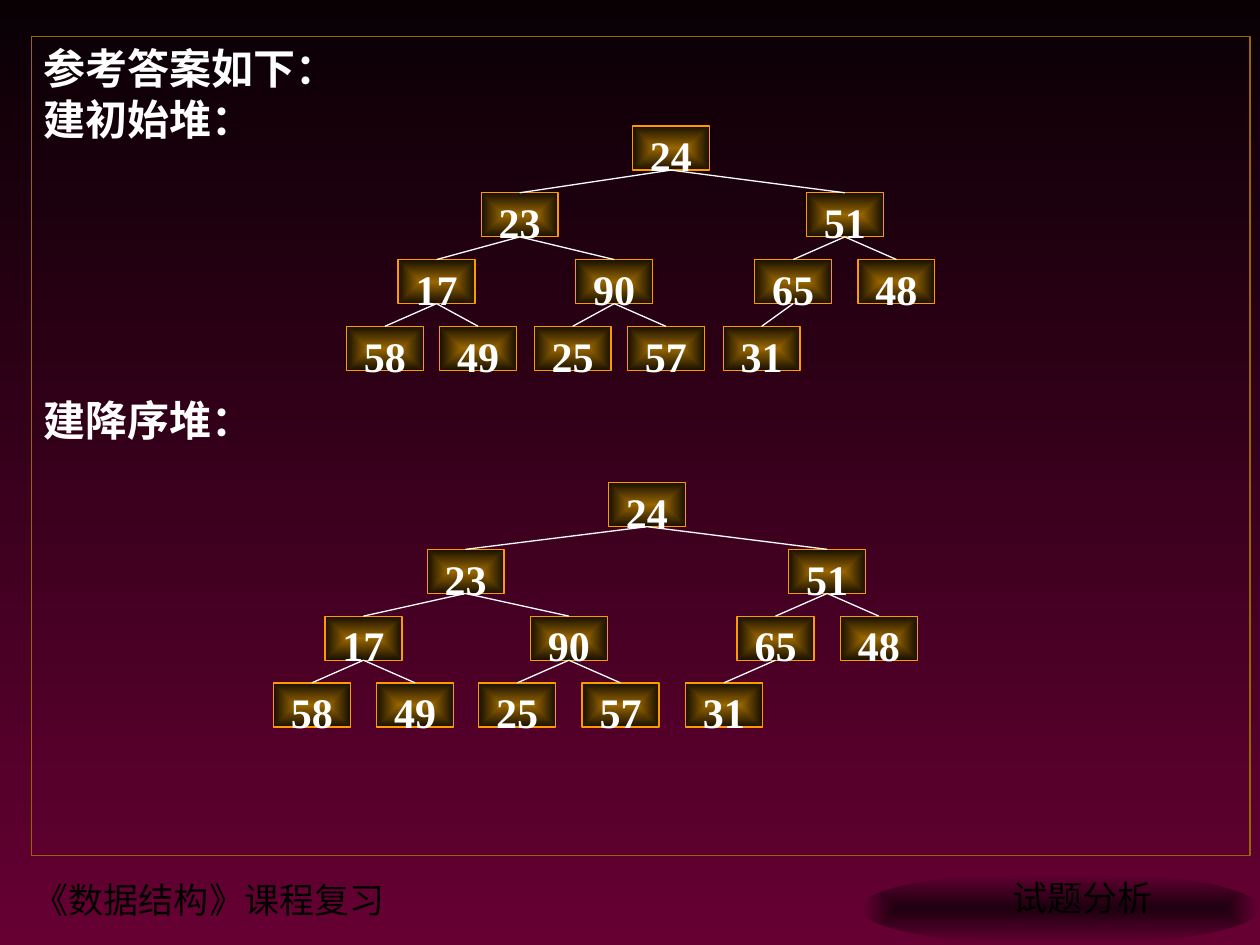
from dataclasses import dataclass

from lxml.etree import SubElement
from pptx import Presentation
from pptx.dml.color import RGBColor
from pptx.enum.shapes import MSO_CONNECTOR, MSO_SHAPE
from pptx.enum.text import MSO_ANCHOR, PP_ALIGN
from pptx.oxml.ns import qn
from pptx.util import Inches, Pt


@dataclass(frozen=True)
class Theme:
    background: tuple = ("090004", "660033")
    ellipse: tuple = ("1E000F", "660033")
    node: tuple = ("996600", "170F00")
    node_line: str = "FF9900"
    frame_line: str = "996600"
    light: str = "FFFFFF"
    dark: str = "000000"
    serif: str = "Times New Roman"
    mono: str = "Courier New"
    body_size: int = 24
    footer_size: int = 20


THEME = Theme()
NODE_WIDTH, NODE_HEIGHT, LEVEL_STEP = 0.61, 0.35, 0.53
HEAP = [24, 23, 51, 17, 90, 65, 48, 58, 49, 25, 57, 31]
INITIAL_OFFSETS = [2.27, 1.07, 3.65, 0.41, 1.82, 3.24, 4.06, 0, 0.74, 1.49, 2.23, 2.99]
SORTED_OFFSETS = [2.66, 1.22, 4.09, 0.41, 2.04, 3.68, 4.5, 0, 0.82, 1.63, 2.45, 3.27]


def color(value):
    return RGBColor.from_string(value)


def set_gradient(fill, colors):
    fill.gradient()
    for stop, value in zip(fill.gradient_stops, colors):
        stop.color.rgb = color(value)


def set_center_gradient(shape, colors):
    """Fill a shape with a rectangular gradient that starts at its centre."""
    set_gradient(shape.fill, colors)
    gradient = shape._element.spPr.find(qn("a:gradFill"))
    gradient.remove(gradient.find(qn("a:lin")))
    rectangle = SubElement(gradient, qn("a:path"), {"path": "rect"})
    sides = {side: "50000" for side in "ltrb"}
    SubElement(rectangle, qn("a:fillToRect"), sides)


def set_line(shape, value, width):
    shape.line.color.rgb = color(value)
    shape.line.width = Pt(width)


def set_frame(frame, margins, anchor=MSO_ANCHOR.TOP):
    frame.word_wrap = True
    frame.vertical_anchor = anchor
    for side, margin in zip(("left", "top", "right", "bottom"), margins):
        setattr(frame, f"margin_{side}", Inches(margin))


def write(para, text, font, size, value, bold=False, align=PP_ALIGN.LEFT):
    para.alignment = align
    span = para.add_run()
    span.text = text
    span.font.color.rgb = color(value)
    for name, setting in {"name": font, "size": Pt(size), "bold": bold}.items():
        setattr(span.font, name, setting)


def add_preset(shapes, kind, left, top, width, height):
    shape = shapes.add_shape(kind, *map(Inches, (left, top, width, height)))
    shape.shadow.inherit = False
    return shape


def add_footer_text(page, text, left, top, width, height):
    box = page.shapes.add_textbox(*map(Inches, (left, top, width, height)))
    set_frame(box.text_frame, (0.1, 0.05, 0.1, 0.05))
    write(box.text_frame.paragraphs[0], text, THEME.serif, THEME.footer_size, THEME.dark)


def add_footer(page, left, top, width, height):
    add_footer_text(page, "《数据结构》课程复习", left, top, 6.5, 0.44)
    ellipse = add_preset(page.shapes, MSO_SHAPE.OVAL, left + width - 3.17, top, 3.17, height)
    set_center_gradient(ellipse, THEME.ellipse)
    ellipse.line.fill.background()
    add_footer_text(page, "试题分析", left + width - 2.06, top - 0.01, 1.7, 0.44)


def add_answer(page, left, top, width, height):
    box = add_preset(page.shapes, MSO_SHAPE.RECTANGLE, left, top, width, height)
    box.fill.background()
    set_line(box, THEME.frame_line, 1)
    frame = box.text_frame
    set_frame(frame, (0.1, 0.05, 0.1, 0.05))
    lines = [("参考答案如下：", THEME.mono, 0), ("建初始堆：", THEME.mono, 0),
             ("建降序堆：", THEME.serif, 143.5)]
    for index, (text, font, gap) in enumerate(lines):
        para = frame.add_paragraph() if index else frame.paragraphs[0]
        para.space_before = Pt(gap)
        write(para, text, font, THEME.body_size, THEME.light, True, PP_ALIGN.JUSTIFY)


def add_node(group, value, left, top):
    node = add_preset(group.shapes, MSO_SHAPE.RECTANGLE, left, top, NODE_WIDTH, NODE_HEIGHT)
    set_center_gradient(node, THEME.node)
    set_line(node, THEME.node_line, 0.75)
    set_frame(node.text_frame, (0, 0.03, 0, 0))
    write(node.text_frame.paragraphs[0], str(value), THEME.serif, THEME.body_size,
          THEME.light, True, PP_ALIGN.CENTER)
    return node


def add_edge(group, parent, child):
    edge = group.shapes.add_connector(MSO_CONNECTOR.STRAIGHT, 
                                      parent.left, parent.top, child.left, child.top)
    edge.begin_connect(parent, 2)
    edge.end_connect(child, 0)
    set_line(edge, THEME.light, 0.75)
    SubElement(edge._element.spPr, qn("a:effectLst"))


def add_heap(page, left, top, offsets):
    """Draw the heap in level order; node i hangs from node (i - 1) // 2."""
    group = page.shapes.add_group_shape()
    nodes = []
    for index, (value, offset) in enumerate(zip(HEAP, offsets)):
        level = (index + 1).bit_length() - 1
        nodes.append(add_node(group, value, left + offset, top + level * LEVEL_STEP))
    for index, child in enumerate(nodes[1:], 1):
        add_edge(group, nodes[(index - 1) // 2], child)


def main():
    deck = Presentation()
    deck.slide_width, deck.slide_height = Inches(10), Inches(7.5)
    page = deck.slides.add_slide(deck.slide_layouts[6])
    background = page.background.fill
    set_gradient(background, THEME.background)
    background.gradient_angle = 270
    add_footer(page, 0.17, 6.92, 9.83, 0.58)
    add_answer(page, 0.25, 0.29, 9.67, 6.5)
    add_heap(page, 2.75, 1, INITIAL_OFFSETS)
    add_heap(page, 2.17, 3.83, SORTED_OFFSETS)
    deck.save("out.pptx")


if __name__ == "__main__":
    main()
